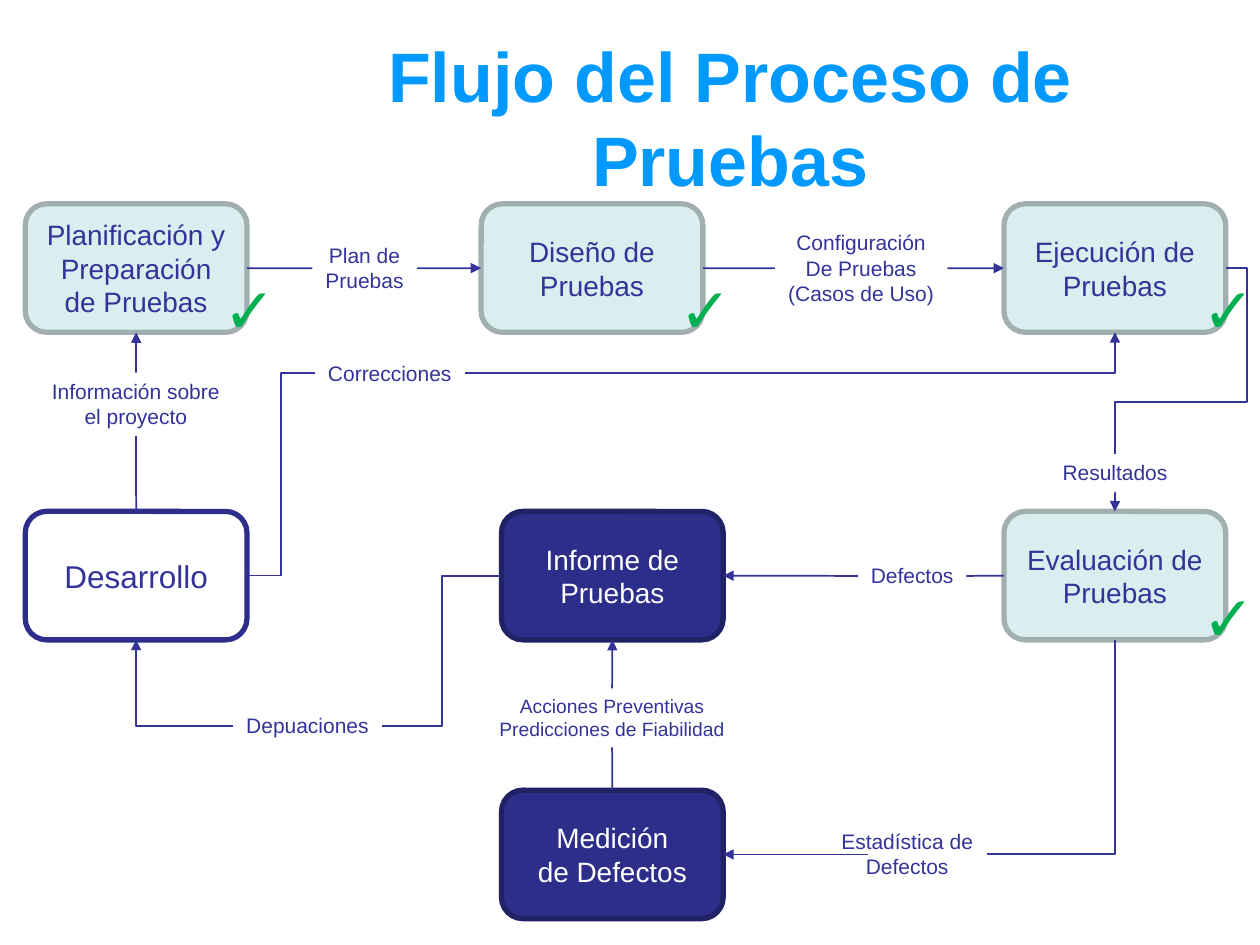
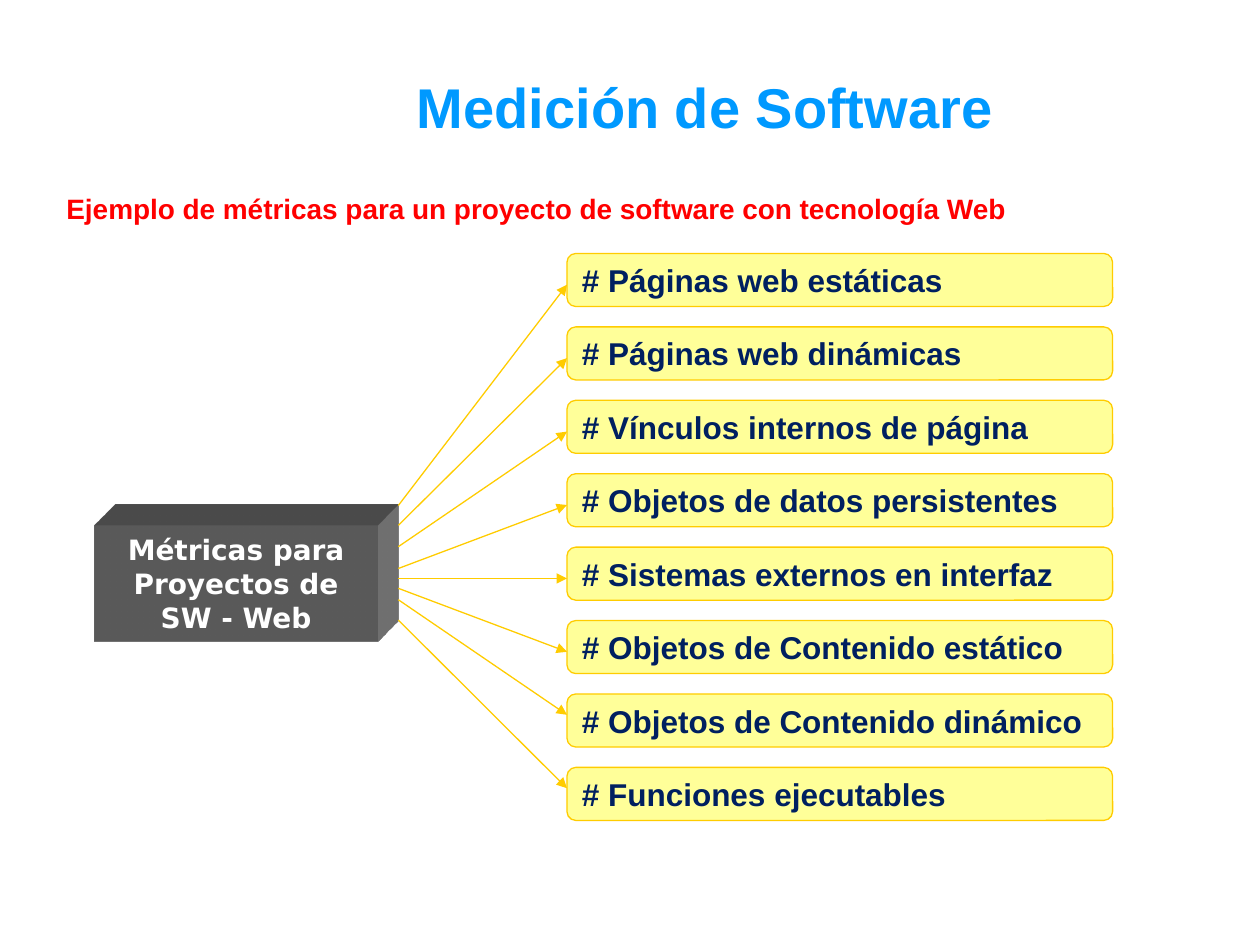
from lxml.etree import SubElement
from pptx import Presentation
from pptx.dml.color import RGBColor
from pptx.enum.shapes import MSO_CONNECTOR, MSO_SHAPE
from pptx.enum.text import MSO_ANCHOR, MSO_AUTO_SIZE, PP_ALIGN
from pptx.oxml import parse_xml
from pptx.oxml.ns import nsdecls, qn
from pptx.util import Cm, Pt

TITLE_BLUE = RGBColor(0x00, 0x99, 0xFF)
INDIGO = RGBColor(0x33, 0x33, 0x99)
NAVY = RGBColor(0x2D, 0x2D, 0x8A)
NAVY_EDGE = RGBColor(0x21, 0x21, 0x66)
PALE_TEAL = RGBColor(0xDA, 0xED, 0xEF)
TEAL_EDGE = RGBColor(0xA1, 0xAF, 0xB1)
WHITE = RGBColor(0xFF, 0xFF, 0xFF)
GREEN = RGBColor(0x00, 0xB0, 0x50)
RED = RGBColor(0xFF, 0x00, 0x00)
GRAY = RGBColor(0x80, 0x80, 0x80)
YELLOW = RGBColor(0xFF, 0xFF, 0x99)
GOLD = RGBColor(0xFF, 0xCC, 0x00)
DARK_BLUE = RGBColor(0x00, 0x20, 0x60)

TOP, LEFT, BOTTOM, RIGHT = range(4)

# fill, edge, text colour, text size
PENDING = (WHITE, NAVY, INDIGO, 18)
CHECKED = (PALE_TEAL, TEAL_EDGE, INDIGO, 16)
REPORT = (NAVY, NAVY_EDGE, WHITE, 16)

STEP_WIDTH, STEP_HEIGHT = 4.47, 2.59
STEPS = {
    "development": (0.51, 10.31, PENDING, "Desarrollo"),
    "planning": (0.51, 4.11, CHECKED, "Planificación y Preparación de Pruebas"),
    "design": (9.7, 4.11, CHECKED, "Diseño de Pruebas"),
    "execution": (20.24, 4.11, CHECKED, "Ejecución de\nPruebas"),
    "evaluation": (20.24, 10.31, CHECKED, "Evaluación de Pruebas"),
    "report": (10.11, 10.31, REPORT, "Informe de Pruebas"),
    "measurement": (10.11, 15.93, REPORT, "Medición\nde Defectos"),
}

# centre x, centre y, width, height, text size, text
FLOW_LABELS = {
    "project": (2.74, 8.15, 4.04, 1.28, 12, "Información sobre\nel proyecto"),
    "plan": (7.35, 5.41, 2.11, 1.28, 12, "Plan de\nPruebas"),
    "setup": (17.36, 5.41, 3.48, 1.8, 12, "Configuración\nDe Pruebas\n(Casos de Uso)"),
    "results": (22.48, 9.53, 2.64, 0.77, 12, "Resultados"),
    "statistics": (18.29, 17.22, 3.2, 1.28, 12, "Estadística de\nDefectos"),
    "defects": (18.39, 11.61, 2.18, 0.77, 12, "Defectos"),
    "debugging": (6.2, 14.63, 3, 0.77, 12, "Depuaciones"),
    "corrections": (7.86, 7.52, 3.02, 0.77, 12, "Correcciones"),
    "actions": (12.34, 14.47, 5.74, 1.19, 11, "Acciones Preventivas\nPredicciones de Fiabilidad"),
}

# origin, label, target, side left, side entered
STRAIGHT_FLOWS = [
    ("development", "project", "planning", TOP, BOTTOM),
    ("planning", "plan", "design", RIGHT, LEFT),
    ("design", "setup", "execution", RIGHT, LEFT),
    ("evaluation", "defects", "report", LEFT, RIGHT),
    ("measurement", "actions", "report", TOP, BOTTOM),
]

METRICS = [
    "# Páginas web estáticas",
    "# Páginas web dinámicas",
    "# Vínculos internos de página",
    "# Objetos de datos persistentes",
    "# Sistemas externos en interfaz",
    "# Objetos de Contenido estático",
    "# Objetos de Contenido dinámico",
    "# Funciones ejecutables",
]
ARROW_STARTS = [10.19, 10.59, 11.02, 11.46, 11.66, 11.86, 12.09, 12.5]
ARROW_DROPS = [0.63] * 6 + [0.42] * 2


def write(shape, text, size, color, bold=False, align=PP_ALIGN.CENTER,
          anchor=MSO_ANCHOR.MIDDLE, wrap=True, font_name="Arial"):
    """Fill a shape with uniformly styled paragraphs."""
    frame = shape.text_frame
    frame.text = text
    frame.word_wrap = wrap
    frame.vertical_anchor = anchor
    for paragraph in frame.paragraphs:
        paragraph.alignment = align
        font = paragraph.font
        font.size, font.bold, font.name = Pt(size), bold, font_name
        font.color.rgb = color


def add_text(slide, box, text, size, color, **style):
    """Add a text box at left, top, width, height in centimetres."""
    shape = slide.shapes.add_textbox(*map(Cm, box))
    write(shape, text, size, color, **style)
    return shape


def add_box(slide, kind, box, fill, edge=None, weight=1):
    """Add a filled preset shape with an optional edge."""
    shape = slide.shapes.add_shape(kind, *map(Cm, box))
    shape.shadow.inherit = False
    shape.fill.solid()
    shape.fill.fore_color.rgb = fill
    if edge is None:
        shape.line.fill.background()
    else:
        shape.line.color.rgb = edge
        shape.line.width = Pt(weight)
    return shape


def add_title(slide, box, text, size):
    """Add the bold blue slide title."""
    return add_text(slide, box, text, size, TITLE_BLUE, bold=True)


def add_line(slide, start, end, color, weight, arrow=False, kind=MSO_CONNECTOR.STRAIGHT):
    """Add a connector between two points, with an optional arrowhead."""
    connector = slide.shapes.add_connector(kind, *start, *end)
    connector.line.color.rgb = color
    connector.line.width = Pt(weight)
    if arrow:
        SubElement(connector.line._get_or_add_ln(), qn("a:tailEnd"), type="triangle")
    SubElement(connector._element.spPr, qn("a:effectLst"))
    return connector


def side_point(shape, side):
    """Return the middle of a side of a shape."""
    across = {LEFT: 0, RIGHT: 2}.get(side, 1)
    down = {TOP: 0, BOTTOM: 2}.get(side, 1)
    return shape.left + shape.width * across // 2, shape.top + shape.height * down // 2


def join(slide, origin, leaving, target, entering, arrow=False):
    """Join the side middles of two shapes with a straight connector."""
    connector = add_line(slide, side_point(origin, leaving), side_point(target, entering),
                         INDIGO, 1, arrow)
    connector.begin_connect(origin, leaving)
    connector.end_connect(target, entering)


def add_elbow(slide, start, end, bends=3, adjustments=(), arrow=False):
    """Add a bent connector that leaves its start horizontally."""
    connector = add_line(slide, start, end, INDIGO, 1, arrow, MSO_CONNECTOR.ELBOW)
    geometry = connector._element.spPr.find(qn("a:prstGeom"))
    geometry.set("prst", f"bentConnector{bends}")
    guides = geometry.find(qn("a:avLst"))
    for number, value in enumerate(adjustments, 1):
        SubElement(guides, qn("a:gd"), name=f"adj{number}", fmla=f"val {value}")


def add_step(slide, left, top, style, text):
    """Add one rounded step of the process."""
    fill, edge, color, size = style
    box = (left, top, STEP_WIDTH, STEP_HEIGHT)
    shape = add_box(slide, MSO_SHAPE.ROUNDED_RECTANGLE, box, fill, edge, 3)
    write(shape, text, size, color)
    return shape


def add_flow_label(slide, center_x, center_y, width, height, size, text):
    """Add a flow label around its centre."""
    box = (center_x - width / 2, center_y - height / 2, width, height)
    shape = add_text(slide, box, text, size, INDIGO, anchor=MSO_ANCHOR.TOP, wrap=False)
    shape.text_frame.auto_size = MSO_AUTO_SIZE.SHAPE_TO_FIT_TEXT
    return shape


def add_flows(slide, steps, labels):
    """Connect the steps through their labels."""
    for origin, label, target, leaving, entering in STRAIGHT_FLOWS:
        join(slide, steps[origin], leaving, labels[label], entering)
        join(slide, labels[label], leaving, steps[target], entering, arrow=True)
    join(slide, labels["results"], BOTTOM, steps["evaluation"], TOP, arrow=True)

    add_elbow(slide, side_point(steps["execution"], RIGHT),
              side_point(labels["results"], TOP), 4, (-19000, 72300))
    add_elbow(slide, side_point(labels["statistics"], RIGHT),
              side_point(steps["evaluation"], BOTTOM), 2)
    add_elbow(slide, side_point(steps["report"], LEFT), side_point(labels["debugging"], RIGHT))
    add_elbow(slide, side_point(labels["debugging"], LEFT),
              side_point(steps["development"], BOTTOM), 2, arrow=True)
    add_elbow(slide, side_point(steps["development"], RIGHT),
              side_point(labels["corrections"], LEFT))
    add_elbow(slide, side_point(labels["corrections"], RIGHT),
              side_point(steps["execution"], BOTTOM), 2, arrow=True)

    target = side_point(steps["measurement"], RIGHT)
    statistics = add_line(slide, (Cm(17.5), target[1]), target, INDIGO, 1, arrow=True)
    statistics.end_connect(steps["measurement"], RIGHT)


def build_process_slide(slide):
    """Build the testing process flow."""
    title = add_title(slide, (5.31, 0.76, 18.82, 3.18), "Flujo del Proceso de Pruebas", 40)
    properties = title.text_frame.paragraphs[0].runs[0]._r.get_or_add_rPr()
    properties.append(parse_xml(
        f'<a:effectLst {nsdecls("a")}><a:outerShdw dist="35921" dir="2700000">'
        '<a:srgbClr val="000000"/></a:outerShdw></a:effectLst>'))
    steps = {name: add_step(slide, *step) for name, step in STEPS.items()}
    labels = {name: add_flow_label(slide, *label) for name, label in FLOW_LABELS.items()}
    add_flows(slide, steps, labels)
    for left, top, style, _ in STEPS.values():
        if style is CHECKED:
            add_text(slide, (left + 3.75, top + 1.22, 1.52, 1.8), "✓", 36, GREEN, bold=True,
                     align=PP_ALIGN.LEFT, anchor=MSO_ANCHOR.TOP, wrap=False)


def add_metrics_block(slide, left, top):
    """Add the extruded block from which the metrics branch."""
    block = add_box(slide, MSO_SHAPE.FLOWCHART_PROCESS, (left, top, 5.72, 2.34), GRAY)
    write(block, "Métricas para\nProyectos de\nSW - Web", 16, WHITE, bold=True,
          wrap=False, font_name="DejaVu Sans")
    properties = block._element.spPr
    properties.append(parse_xml(
        f'<a:scene3d {nsdecls("a")}><a:camera prst="legacyObliqueTopRight"/>'
        '<a:lightRig rig="legacyFlat3" dir="b"/></a:scene3d>'))
    properties.append(parse_xml(
        f'<a:sp3d {nsdecls("a")} extrusionH="430200" prstMaterial="legacyMatte">'
        '<a:bevelT w="13500" h="13500" prst="angle"/><a:bevelB w="13500" h="13500" prst="angle"/>'
        f'<a:extrusionClr><a:srgbClr val="{GRAY}"/></a:extrusionClr></a:sp3d>'))


def add_metrics(slide, left, top, pitch):
    """Add the column of metrics and the arrows that reach it."""
    for row, (metric, start, drop) in enumerate(zip(METRICS, ARROW_STARTS, ARROW_DROPS)):
        row_top = top + row * pitch
        box = add_box(slide, MSO_SHAPE.ROUNDED_RECTANGLE, (left, row_top, 11, 1.07),
                      YELLOW, GOLD, 0.75)
        write(box, metric, 18, DARK_BLUE, bold=True, align=PP_ALIGN.LEFT, wrap=False)
        add_line(slide, (Cm(left - 3.4), Cm(start)), (Cm(left), Cm(row_top + drop)),
                 GOLD, 0.75, arrow=True)


def build_metrics_slide(slide):
    """Build the example of software metrics."""
    add_metrics_block(slide, 1.9, 10.59)
    add_metrics(slide, 11.43, 5.11, 1.48)
    add_text(slide, (1.09, 3.73, 21.01, 0.93),
             "Ejemplo de métricas para un proyecto de software con tecnología Web",
             16, RED, bold=True, align=PP_ALIGN.LEFT)
    add_title(slide, (5.11, 1.32, 18.21, 1.63), "Medición de Software", 32)


def main():
    """Create and save the presentation."""
    presentation = Presentation()
    presentation.slide_width, presentation.slide_height = Cm(25.4), Cm(19.05)
    for build in (build_process_slide, build_metrics_slide):
        build(presentation.slides.add_slide(presentation.slide_layouts[6]))
    presentation.save("out.pptx")


if __name__ == "__main__":
    main()
